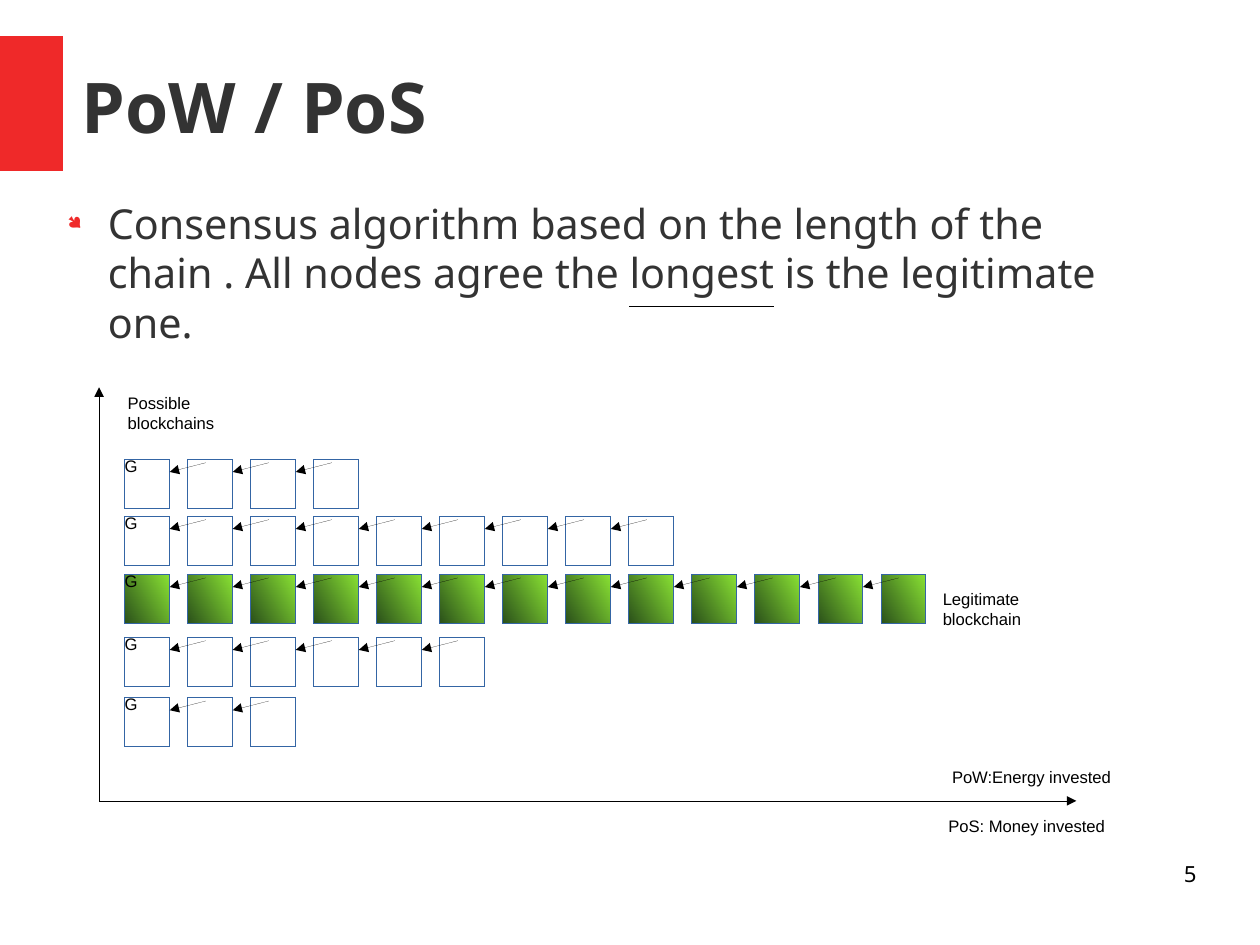
from lxml.etree import SubElement
from pptx import Presentation
from pptx.dml.color import RGBColor
from pptx.enum.shapes import MSO_CONNECTOR, MSO_SHAPE
from pptx.enum.text import MSO_ANCHOR, MSO_AUTO_SIZE, PP_ALIGN
from pptx.oxml.ns import qn
from pptx.util import Pt


def add_text(text, x, y, w, h, size, color="000000", label=False):
    """Add a one-paragraph text box; a label is in Arial, has insets and grows with its text."""
    sp = s.shapes.add_textbox(Pt(x), Pt(y), Pt(w), Pt(h))
    tf = sp.text_frame
    tf.word_wrap = not label
    if label:
        tf.auto_size = MSO_AUTO_SIZE.SHAPE_TO_FIT_TEXT
    tf.margin_left = tf.margin_right = Pt(7.2 if label else 0)
    tf.margin_top = tf.margin_bottom = Pt(3.6 if label else 0)
    tf.text = text
    r = tf.paragraphs[0].runs[0]
    r.font.size = Pt(size)
    r.font.name = "Arial" if label else "Noto Sans"
    r.font.color.rgb = RGBColor.from_string(color)
    return tf


def add_line(x1, y1, x2, y2, arrow=True):
    cx = s.shapes.add_connector(MSO_CONNECTOR.STRAIGHT, Pt(x1), Pt(y1), Pt(x2), Pt(y2))
    cx.line.color.rgb = RGBColor.from_string("000000")
    ln = cx.line._get_or_add_ln()
    ln.set("w", "0")
    if arrow:
        SubElement(ln, qn("a:tailEnd"), type="triangle")
    SubElement(cx._element.spPr, qn("a:effectLst"))


prs = Presentation()
prs.slide_width, prs.slide_height = Pt(793.7), Pt(595.28)
s = prs.slides.add_slide(prs.slide_layouts[6])

# Heading and statement
bar = s.shapes.add_shape(MSO_SHAPE.RECTANGLE, Pt(0), Pt(22.7), Pt(39.7), Pt(85))
bar.shadow.inherit = False
bar.fill.solid()
bar.fill.fore_color.rgb = RGBColor.from_string("EF2929")
bar.line.fill.background()

tf = add_text("PoW / PoS", 51.2, 17, 697, 99.2, 44, "333333")
tf.vertical_anchor = MSO_ANCHOR.MIDDLE
tf.paragraphs[0].runs[0].font.bold = True

tf = add_text("Consensus algorithm based on the length of the chain . "
              "All nodes agree the longest is the legitimate one.",
              34, 124.6, 680.4, 127.4, 26, "333333")
p = tf.paragraphs[0]
pPr = p._p.get_or_add_pPr()
pPr.set("marL", str(Pt(34)))
pPr.set("indent", str(Pt(-25.5)))
SubElement(SubElement(pPr, qn("a:buClr")), qn("a:srgbClr"), val="EF2929")
SubElement(pPr, qn("a:buSzPct"), val="45000")
SubElement(pPr, qn("a:buFont"), typeface="Wingdings", charset="2")
SubElement(pPr, qn("a:buChar"), char="●")
p.space_after = Pt(13.1)
add_line(396.5, 193, 487.5, 193, arrow=False)

# Axes
origin_x, origin_y = 62.4, 504.5
add_line(origin_x, origin_y, 678, origin_y)
add_line(origin_x, origin_y, origin_x, 244)

# Block chains: top, number of blocks, legitimate or not
left, pitch, block_w, block_h = 78.6, 39.7, 28.3, 31
chains = [(289.3, 4, False), (325.2, 9, False), (361.8, 13, True),
          (401.4, 6, False), (439.4, 3, False)]

for top, count, legitimate in chains:
    for i in range(count):
        x = left + i * pitch
        block = s.shapes.add_shape(MSO_SHAPE.RECTANGLE, Pt(x), Pt(top), Pt(block_w), Pt(block_h))
        block.shadow.inherit = False
        block.line.color.rgb = RGBColor.from_string("3465A4")
        block.line._get_or_add_ln().set("w", "0")
        if legitimate:
            block.fill.gradient()
            block.fill.gradient_angle = 210
            for stop, color in zip(block.fill.gradient_stops, ("8AE234", "2B511A")):
                stop.color.rgb = RGBColor.from_string(color)
        else:
            block.fill.background()
        if i:
            add_line(x + 11.3, top + 2.2, x - pitch + block_w, top + 8)
    add_text("G", left - 7.2, top - 5.7, 22.3, 18.7, 10.5, label=True)

# Labels
for text, x, y, w in [("Possible blockchains", 73.4, 243.8, 110.9),
                      ("Legitimate blockchain", 586.8, 367.6, 114.5),
                      ("PoW:Energy invested", 592.6, 479.4, 114.5),
                      ("PoS: Money invested", 590.4, 510.2, 113)]:
    add_text(text, x, y, w, 18.7, 10.5, label=True)

tf = add_text("5", 568.8, 542.2, 185, 41, 14)
tf.paragraphs[0].alignment = PP_ALIGN.RIGHT

prs.save("out.pptx")
